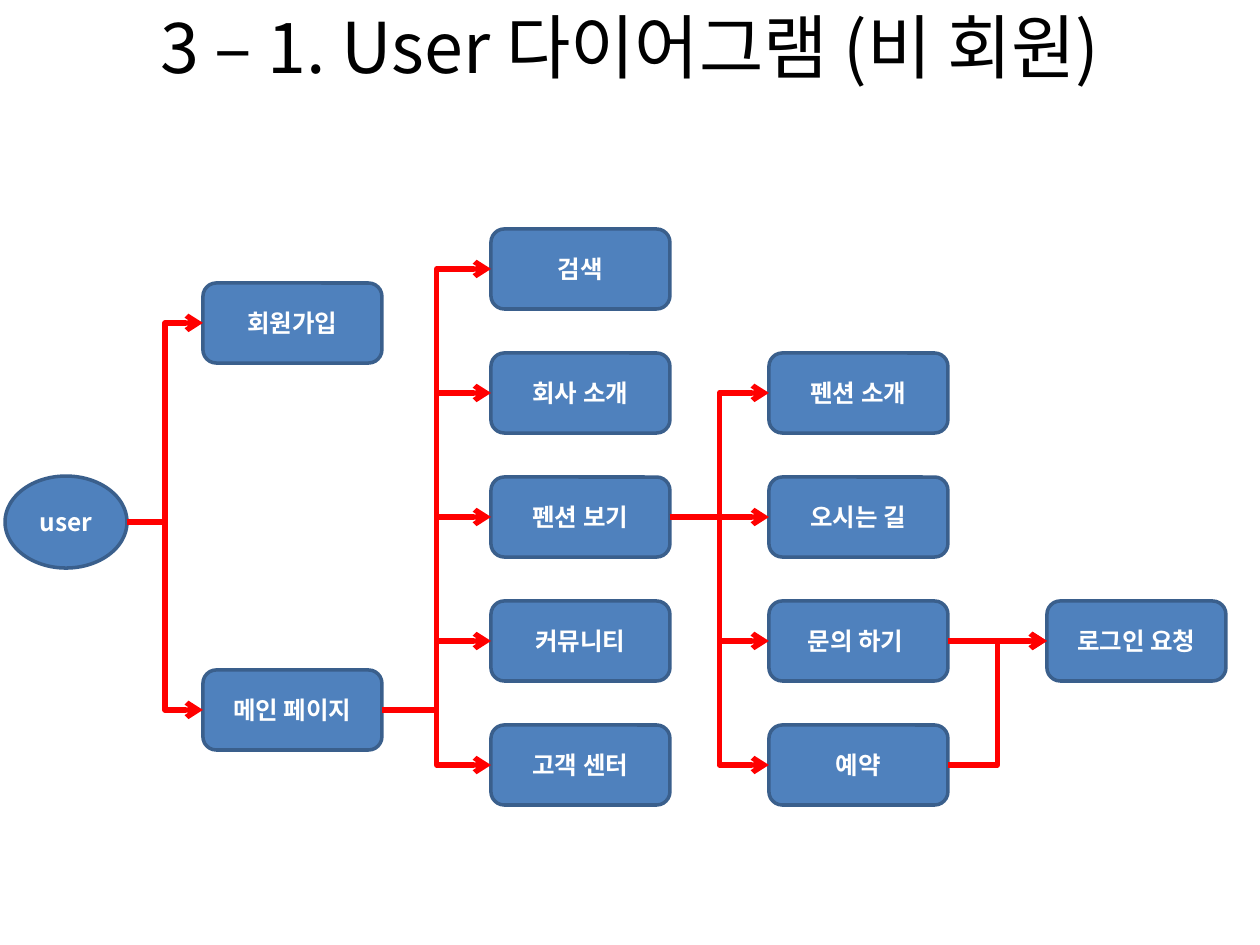
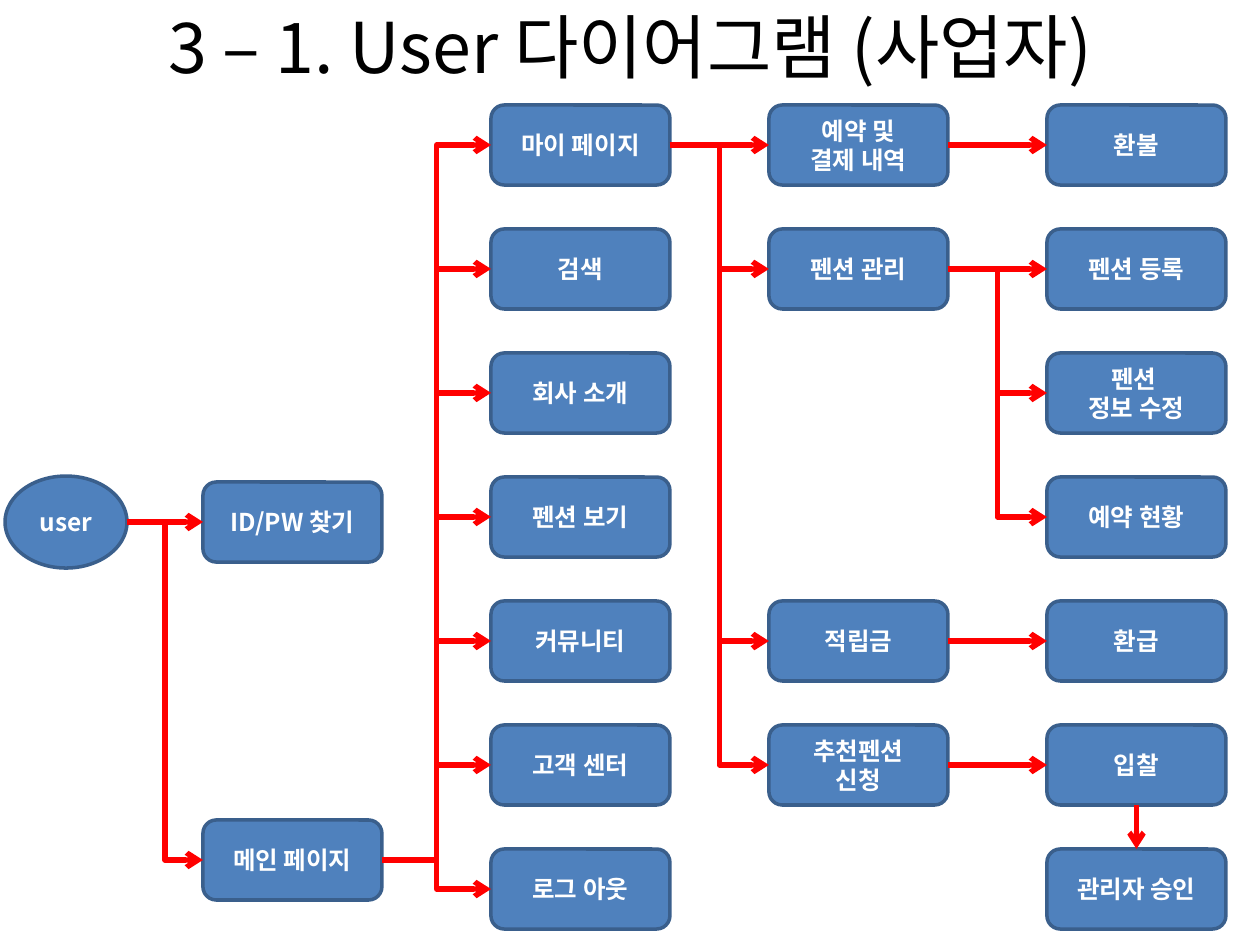
from lxml import etree
from pptx import Presentation
from pptx.dml.color import RGBColor
from pptx.enum.shapes import MSO_CONNECTOR, MSO_SHAPE
from pptx.enum.text import MSO_ANCHOR, PP_ALIGN
from pptx.oxml.ns import qn
from pptx.util import Emu, Pt

ELLIPSE, ROUNDED = MSO_SHAPE.OVAL, MSO_SHAPE.ROUNDED_RECTANGLE
STRAIGHT, ELBOW = MSO_CONNECTOR.STRAIGHT, MSO_CONNECTOR.ELBOW
MIDDLE, CENTER = MSO_ANCHOR.MIDDLE, PP_ALIGN.CENTER

PX_PER_INCH = 126
SLIDE_SIZE = 1260, 945
TITLE_ONLY = 5
FONT = "Noto Sans CJK KR"
BLACK, WHITE, BLUE, DARK_BLUE, RED = "000000", "FFFFFF", "4F81BD", "3A5F8C", "FF0000"

TITLE_BOX = 63, -34, 1134, 158
USER_BOX = 5, 476, 122, 92
NODE_WIDTH, NODE_HEIGHT = 179, 80
ENTRY_LEFT, MENU_LEFT, DETAIL_LEFT, RESULT_LEFT = 203, 491, 769, 1047
FIRST_ROW_TOP, ROW_PITCH = 105, 124
TOP_SITE, LEFT_SITE, BOTTOM_SITE, RIGHT_SITE = range(4)


def px(length):
    """Turn a length in px into EMU."""
    return Emu(round(length * 914400 / PX_PER_INCH))


def color(hex_string):
    """Turn a hex string into a colour."""
    return RGBColor.from_string(hex_string)


def row_top(row):
    """Return the top of a grid row in px."""
    return FIRST_ROW_TOP + row * ROW_PITCH


def write_text(shape, text, size=14, bold=True, font_color=WHITE):
    """Write centred text, one paragraph for each line."""
    frame = shape.text_frame
    frame.word_wrap = True
    frame.vertical_anchor = MIDDLE
    frame.text = text
    for paragraph in frame.paragraphs:
        paragraph.alignment = CENTER
        for run in paragraph.runs:
            run.font.size = Pt(size)
            run.font.bold = bold
            run.font.color.rgb = color(font_color)
            run.font.name = FONT
            etree.SubElement(run._r.get_or_add_rPr(), qn("a:ea"), typeface=FONT)


def add_titled_slide(presentation, title):
    """Add a slide with its title at the top."""
    slide = presentation.slides.add_slide(presentation.slide_layouts[TITLE_ONLY])
    shape = slide.shapes.title
    shape.left, shape.top, shape.width, shape.height = map(px, TITLE_BOX)
    write_text(shape, title, size=40, bold=False, font_color=BLACK)
    return slide


def add_node(slide, kind, text, box):
    """Add a blue diagram node with white text."""
    shape = slide.shapes.add_shape(kind, *map(px, box))
    shape.shadow.inherit = False
    shape.fill.solid()
    shape.fill.fore_color.rgb = color(BLUE)
    shape.line.color.rgb = color(DARK_BLUE)
    shape.line.width = Pt(2)
    write_text(shape, text)
    return shape


def add_column(slide, left, tops):
    """Add a column of rounded nodes and return them by label."""
    return {
        label: add_node(slide, ROUNDED, label, (left, top, NODE_WIDTH, NODE_HEIGHT))
        for label, top in tops.items()
    }


def add_arrow(slide, kind, start, end):
    """Add a red connector with an arrowhead at its end."""
    connector = slide.shapes.add_connector(kind, *start, *end)
    connector.line.color.rgb = color(RED)
    connector.line.width = Pt(3)
    etree.SubElement(connector.line._get_or_add_ln(), qn("a:tailEnd"), type="arrow")
    etree.SubElement(connector._element.spPr, qn("a:effectLst"))
    return connector


def link_right(slide, source, target):
    """Link the right side of a node to the left side of another."""
    start = source.left + source.width, source.top + source.height // 2
    end = target.left, target.top + target.height // 2
    kind = STRAIGHT if abs(start[1] - end[1]) < px(1) else ELBOW
    connector = add_arrow(slide, kind, start, end)
    if source.auto_shape_type == ROUNDED:
        connector.begin_connect(source, RIGHT_SITE)
    connector.end_connect(target, LEFT_SITE)


def link_down(slide, source, target):
    """Link the bottom of a node to the top of the node below."""
    center = source.left + source.width // 2
    start, end = (center, source.top + source.height), (center, target.top)
    connector = add_arrow(slide, STRAIGHT, start, end)
    connector.begin_connect(source, BOTTOM_SITE)
    connector.end_connect(target, TOP_SITE)


def add_diagram(slide, entries, menu, details, results, links):
    """Add the user, four columns of nodes and their links."""
    nodes = {"user": add_node(slide, ELLIPSE, "user", USER_BOX)}
    nodes |= add_column(slide, ENTRY_LEFT, entries)
    for left, rows in ((MENU_LEFT, menu), (DETAIL_LEFT, details), (RESULT_LEFT, results)):
        tops = {label: row_top(row) for label, row in rows.items()}
        nodes |= add_column(slide, left, tops)
    all_links = {"user": entries, "메인 페이지": menu, **links}
    for source, targets in all_links.items():
        for target in targets:
            link_right(slide, nodes[source], nodes[target])
    return nodes


def add_guest_slide(presentation):
    """Add the diagram for visitors who are not members."""
    slide = add_titled_slide(presentation, "3 – 1. User 다이어그램 (비 회원)")
    details = {"펜션 소개": 2, "오시는 길": 3, "문의 하기 ": 4, "예약": 5}
    add_diagram(
        slide,
        entries={"회원가입": 283, "메인 페이지": 670},
        menu={"검색": 1, "회사 소개": 2, "펜션 보기": 3, "커뮤니티": 4, "고객 센터": 5},
        details=details,
        results={"로그인 요청": 4},
        links={
            "펜션 보기": details,
            "문의 하기 ": ["로그인 요청"],
            "예약": ["로그인 요청"],
        },
    )


def add_business_slide(presentation):
    """Add the diagram for business members."""
    slide = add_titled_slide(presentation, "3 – 1. User 다이어그램 (사업자)")
    details = {"예약 및\n결제 내역": 0, "펜션 관리": 1, "적립금": 4, "추천펜션\n신청": 5}
    menu = ["마이 페이지", "검색", "회사 소개", "펜션 보기", "커뮤니티", "고객 센터", "로그 아웃"]
    nodes = add_diagram(
        slide,
        entries={"ID/PW 찾기": 482, "메인 페이지": 820},
        menu={label: row for row, label in enumerate(menu)},
        details=details,
        results={
            "환불": 0,
            "펜션 등록": 1,
            "펜션 \n정보 수정": 2,
            "예약 현황": 3,
            "환급": 4,
            "입찰": 5,
            "관리자 승인": 6,
        },
        links={
            "마이 페이지": details,
            "예약 및\n결제 내역": ["환불"],
            "펜션 관리": ["펜션 등록", "펜션 \n정보 수정", "예약 현황"],
            "적립금": ["환급"],
            "추천펜션\n신청": ["입찰"],
        },
    )
    link_down(slide, nodes["입찰"], nodes["관리자 승인"])


def main():
    """Build both diagrams and save the file."""
    presentation = Presentation()
    presentation.slide_width, presentation.slide_height = map(px, SLIDE_SIZE)
    add_guest_slide(presentation)
    add_business_slide(presentation)
    presentation.save("out.pptx")


if __name__ == "__main__":
    main()
